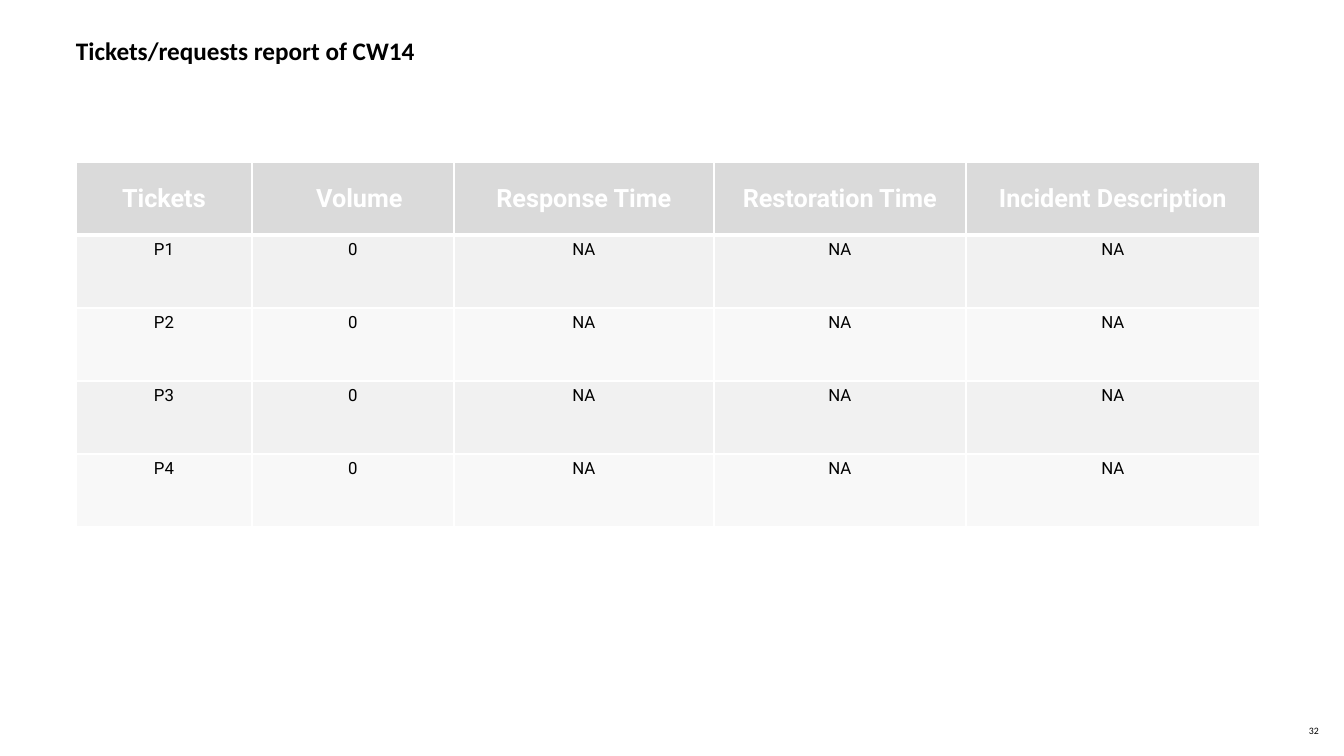
"""Build the weekly tickets report slide."""
from dataclasses import dataclass

from lxml.etree import SubElement
from pptx import Presentation
from pptx.dml.color import RGBColor
from pptx.enum.text import MSO_ANCHOR as Anchor, PP_ALIGN as Align
from pptx.oxml.ns import qn
from pptx.slide import Slide
from pptx.table import _Cell as Cell
from pptx.text.text import TextFrame
from pptx.util import Emu, Pt

PIXELS_PER_INCH = 100.8
ROW_HEIGHT = 73
CELL_MARGIN = 10
BLACK, WHITE = "000000", "FFFFFF"
HEADER_FILL = "DADADA"
BAND_FILLS = ("F1F1F1", "F8F8F8")


@dataclass(frozen=True)
class Column:
    heading: str
    width: int
    heading_indent: int = 0


@dataclass(frozen=True)
class Label:
    text: str
    left: int
    top: int
    width: int
    height: int
    size: int
    bold: bool = False
    anchor: Anchor = Anchor.TOP
    line_spacing: float = 1.0


COLUMNS = (
    Column("Tickets", 176),
    Column("Volume", 202, heading_indent=13),
    Column("Response Time", 260),
    Column("Restoration Time", 252),
    Column("Incident Description", 294),
)
TICKETS = [(priority, "0", "NA", "NA", "NA") for priority in ("P1", "P2", "P3", "P4")]
LABELS = (
    Label("Tickets/requests report of CW14", 76, 32, 1250, 68, 18, bold=True, line_spacing=1.1),
    Label("32", 1309, 722, 35, 17, 7, anchor=Anchor.MIDDLE),
)


def pixels(length: float) -> Emu:
    return Emu(round(length * 914400 / PIXELS_PER_INCH))


def color(value: str) -> RGBColor:
    return RGBColor.from_string(value)


def write(frame: TextFrame, text: str, *, size: int, font: str, fill: str = BLACK,
          bold: bool = False, align: Align = Align.LEFT, line_spacing: float = 1.0) -> None:
    paragraph = frame.paragraphs[0]
    paragraph.alignment = align
    paragraph.line_spacing = line_spacing
    run = paragraph.add_run()
    run.text = text
    run.font.size = Pt(size)
    run.font.name = font
    run.font.bold = bold
    run.font.color.rgb = color(fill)


def draw_label(slide: Slide, label: Label) -> None:
    shape = slide.shapes.add_textbox(*map(pixels, (label.left, label.top, label.width, label.height)))
    frame = shape.text_frame
    frame.word_wrap = True
    frame.vertical_anchor = label.anchor
    frame.margin_left = frame.margin_right = frame.margin_top = frame.margin_bottom = 0
    write(frame, label.text, size=label.size, font="Calibri", bold=label.bold,
          line_spacing=label.line_spacing)


def set_borders(cell: Cell, top: int, bottom: int) -> None:
    properties = cell._tc.get_or_add_tcPr()
    for side, points in (("L", 1), ("R", 1), ("T", top), ("B", bottom)):
        line = SubElement(properties, qn(f"a:ln{side}"), w=str(Pt(points)))
        SubElement(SubElement(line, qn("a:solidFill")), qn("a:srgbClr"), val=WHITE)


def format_cell(cell: Cell, fill: str, top: int = 1, bottom: int = 1) -> None:
    set_borders(cell, top, bottom)
    cell.fill.solid()
    cell.fill.fore_color.rgb = color(fill)


def draw_table(slide: Slide, left: int, top: int) -> None:
    row_count = len(TICKETS) + 1
    width = sum(column.width for column in COLUMNS)
    table = slide.shapes.add_table(row_count, len(COLUMNS), pixels(left), pixels(top),
                                   pixels(width), pixels(row_count * ROW_HEIGHT)).table
    table.horz_banding = False
    for row in table.rows:
        row.height = pixels(ROW_HEIGHT)
    for index, column in enumerate(COLUMNS):
        table.columns[index].width = pixels(column.width)
        cell = table.cell(0, index)
        format_cell(cell, HEADER_FILL, bottom=3)
        cell.vertical_anchor = Anchor.MIDDLE
        cell.margin_left = pixels(CELL_MARGIN + column.heading_indent)
        write(cell.text_frame, column.heading, size=18, font="Roboto", fill=WHITE,
              bold=True, align=Align.CENTER)
    for row_index, ticket in enumerate(TICKETS, start=1):
        for column_index, value in enumerate(ticket):
            cell = table.cell(row_index, column_index)
            format_cell(cell, BAND_FILLS[(row_index - 1) % 2], top=3 if row_index == 1 else 1)
            write(cell.text_frame, value, size=12, font="Roboto", align=Align.CENTER)


def main() -> None:
    presentation = Presentation()
    presentation.slide_width = pixels(1344)
    presentation.slide_height = pixels(756)
    slide = presentation.slides.add_slide(presentation.slide_layouts[6])
    for label in LABELS:
        draw_label(slide, label)
    draw_table(slide, 76, 162)
    presentation.save("out.pptx")


main()
